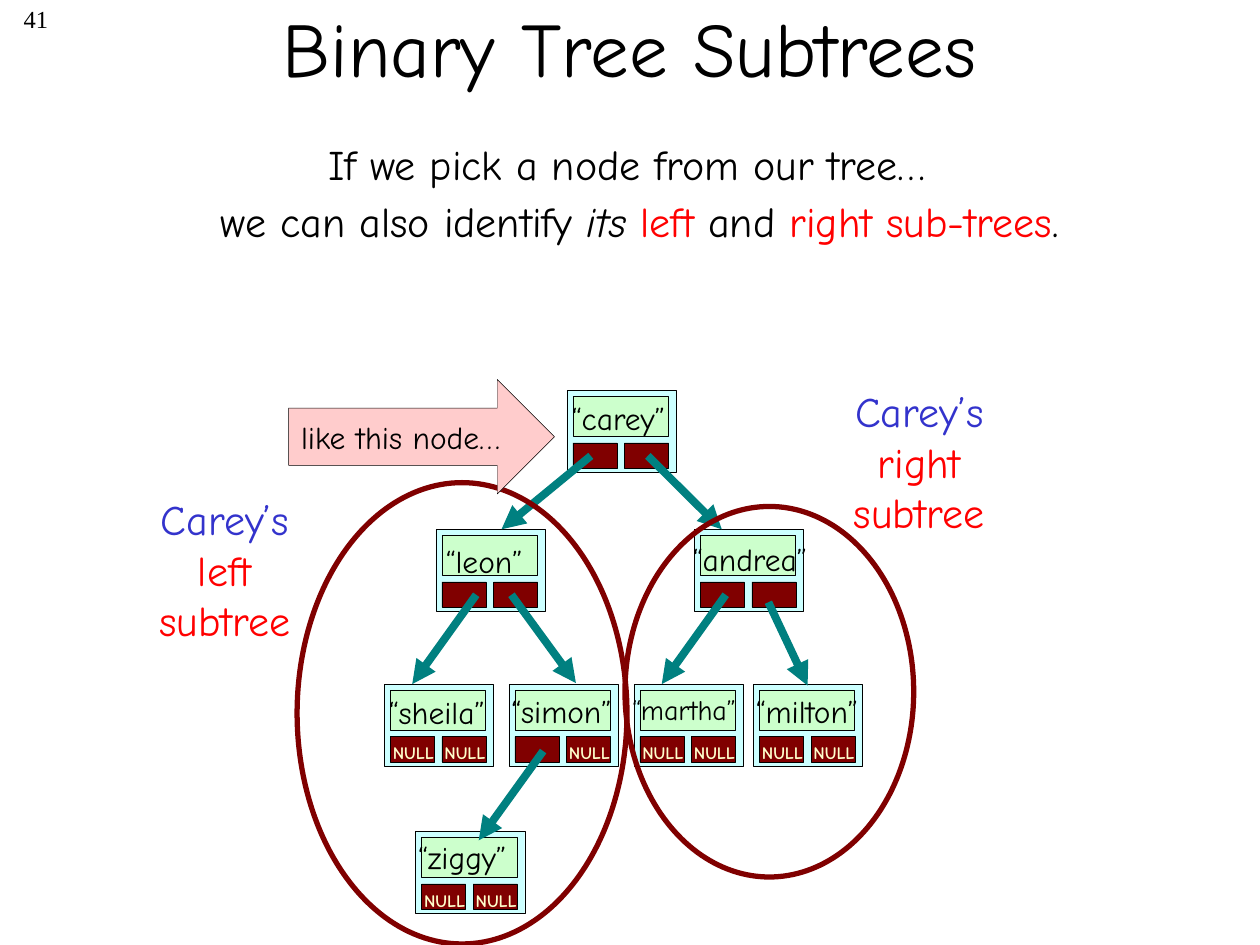
from lxml import etree
from pptx import Presentation
from pptx.dml.color import RGBColor
from pptx.enum.shapes import MSO_CONNECTOR, MSO_SHAPE
from pptx.enum.text import MSO_ANCHOR, MSO_AUTO_SIZE, PP_ALIGN
from pptx.oxml.ns import qn
from pptx.util import Cm, Pt

RECTANGLE, ELLIPSE, ARROW = MSO_SHAPE.RECTANGLE, MSO_SHAPE.OVAL, MSO_SHAPE.RIGHT_ARROW
STRAIGHT = MSO_CONNECTOR.STRAIGHT
LEFT, CENTER, RIGHT = PP_ALIGN.LEFT, PP_ALIGN.CENTER, PP_ALIGN.RIGHT
MIDDLE = MSO_ANCHOR.MIDDLE
NO_AUTOFIT = MSO_AUTO_SIZE.NONE

FONT = "Comic Neue"
BLACK, RED, BLUE = "000000", "FF0000", "3333CC"
MAROON, TEAL, CREAM = "800000", "008080", "FFFFCC"
NODE_FILL, NAME_FILL, ARROW_FILL = "CCFFFF", "CCFFCC", "FFCCCC"

# Node: left, top, name, name left, name top, name size, text of both pointers (cm)
NODES = [
    (11.43, 7.87, "“carey”", 11.28, 7.92, 18, ("", "")),
    (8.79, 10.67, "“leon”", 8.74, 10.8, 18, ("", "")),
    (14, 10.67, "“andrea”", 13.72, 10.77, 18, ("", "")),
    (7.75, 13.79, "“sheila”", 7.59, 13.84, 18, ("NULL", "NULL")),
    (10.26, 13.79, "“simon”", 10.06, 13.82, 18, ("", "NULL")),
    (12.78, 13.79, "“martha”", 12.5, 13.84, 16, ("NULL", "NULL")),
    (15.19, 13.79, "“milton”", 14.99, 13.82, 18, ("NULL", "NULL")),
    (8.38, 16.76, "“ziggy”", 8.18, 16.76, 18, ("NULL", "NULL")),
]
# Pointer arrows: start x, start y, end x, end y (cm)
POINTERS = [
    (11.91, 9.19, 10.11, 10.67),
    (13.06, 9.19, 14.55, 10.67),
    (9.6, 11.99, 8.31, 13.79),
    (10.31, 11.99, 11.61, 13.77),
    (14.63, 11.99, 13.34, 13.79),
    (15.49, 12.14, 16.28, 13.82),
    (10.95, 15.14, 9.65, 16.94),
]
# Subtrees: ellipse box, label box, side
SUBTREES = [
    ((5.99, 9.73, 6.65, 9.3), (2.54, 9.83, 3.99, 3.33), "left"),
    ((12.6, 10.21, 5.82, 7.47), (16.54, 7.65, 3.99, 3.33), "right"),
]


def color(value):
    return RGBColor.from_string(value)


def write(shape, runs, size, align=LEFT, font=FONT, bold=False):
    """Fill one paragraph with (text, colour, italic) runs."""
    paragraph = shape.text_frame.paragraphs[0]
    paragraph.alignment = align
    paragraph.font.name = font
    paragraph.font.size = Pt(size)
    paragraph.font.bold = bold
    for text, run_color, italic in runs:
        run = paragraph.add_run()
        run.text = text
        run.font.color.rgb = color(run_color)
        run.font.italic = italic


def add_text(slide, box, runs, size, wrap=True, **style):
    shape = slide.shapes.add_textbox(*map(Cm, box))
    shape.text_frame.word_wrap = wrap
    write(shape, runs, size, **style)


def add_box(slide, kind, box, fill=None, line=BLACK, width=0.25):
    shape = slide.shapes.add_shape(kind, *map(Cm, box))
    shape.shadow.inherit = False
    if fill:
        shape.fill.solid()
        shape.fill.fore_color.rgb = color(fill)
    else:
        shape.fill.background()
    shape.line.color.rgb = color(line)
    shape.line.width = Pt(width)
    return shape


def add_node(slide, left, top, name, name_left, name_top, size, pointers):
    add_box(slide, RECTANGLE, (left, top, 2.2, 1.65), NODE_FILL)
    for index, text in enumerate(pointers):
        cell_left = left + 0.12 + 1.04 * index
        add_box(slide, RECTANGLE, (cell_left, top + 1.06, 0.89, 0.51), MAROON)
        if text:
            add_text(slide, (cell_left - 0.2, top + 1.05, 1.45, 0.69),
                     [(text, CREAM, False)], 10, wrap=False, bold=True)
    add_box(slide, RECTANGLE, (left + 0.12, top + 0.12, 1.92, 0.81), NAME_FILL)
    # Wide enough for the longest name on one line
    add_text(slide, (name_left, name_top, 3.2, 1.02),
             [(name, BLACK, False)], size, wrap=False)


def add_pointer(slide, ends):
    connector = slide.shapes.add_connector(STRAIGHT, *map(Cm, ends))
    connector.line.color.rgb = color(TEAL)
    connector.line.width = Pt(4.5)
    line = connector.line._get_or_add_ln()
    etree.SubElement(line, qn("a:tailEnd"), type="triangle")
    etree.SubElement(connector._element.spPr, qn("a:effectLst"))


def add_title(slide, text):
    title = slide.shapes.title
    title.left, title.top, title.width, title.height = map(Cm, (1.9, -0.64, 21.59, 3.18))
    title.text_frame.vertical_anchor = MIDDLE
    title.text_frame.auto_size = NO_AUTOFIT
    write(title, [(text, BLACK, False)], 44, align=CENTER)


def main():
    presentation = Presentation()
    presentation.slide_width, presentation.slide_height = Cm(25.4), Cm(19.05)
    slide = presentation.slides.add_slide(presentation.slide_layouts[5])

    # Heading, page number and introduction
    add_title(slide, "Binary Tree Subtrees")
    add_text(slide, (0, -0.05, 1.22, 1.27), [("41", BLACK, False)], 14,
             align=RIGHT, font="Times New Roman")
    add_text(slide, (1.35, 2.67, 22.58, 1.27),
             [("If we pick a node from our tree…", BLACK, False)], 24, align=CENTER)
    add_text(slide, (1.75, 3.81, 22.58, 1.27),
             [("we can also identify ", BLACK, False), ("its ", BLACK, True),
              ("left ", RED, False), ("and ", BLACK, False),
              ("right sub-trees", RED, False), (". ", BLACK, False)],
             24, align=CENTER)

    # Tree
    for node in NODES:
        add_node(slide, *node)
    for ends in POINTERS:
        add_pointer(slide, ends)

    # Subtree outlines and labels
    for outline, label, side in SUBTREES:
        add_box(slide, ELLIPSE, outline, line=MAROON, width=3)
        add_text(slide, label,
                 [("Carey’s ", BLUE, False), (f"{side} subtree", RED, False)],
                 24, align=CENTER)

    # Callout arrow to the root
    callout = add_box(slide, ARROW, (5.82, 7.65, 5.36, 2.31), ARROW_FILL)
    callout.text_frame.margin_right = 0
    callout.text_frame.word_wrap = True
    callout.text_frame.vertical_anchor = MIDDLE
    write(callout, [("like this node…", BLACK, False)], 18)

    presentation.save("out.pptx")


if __name__ == "__main__":
    main()
